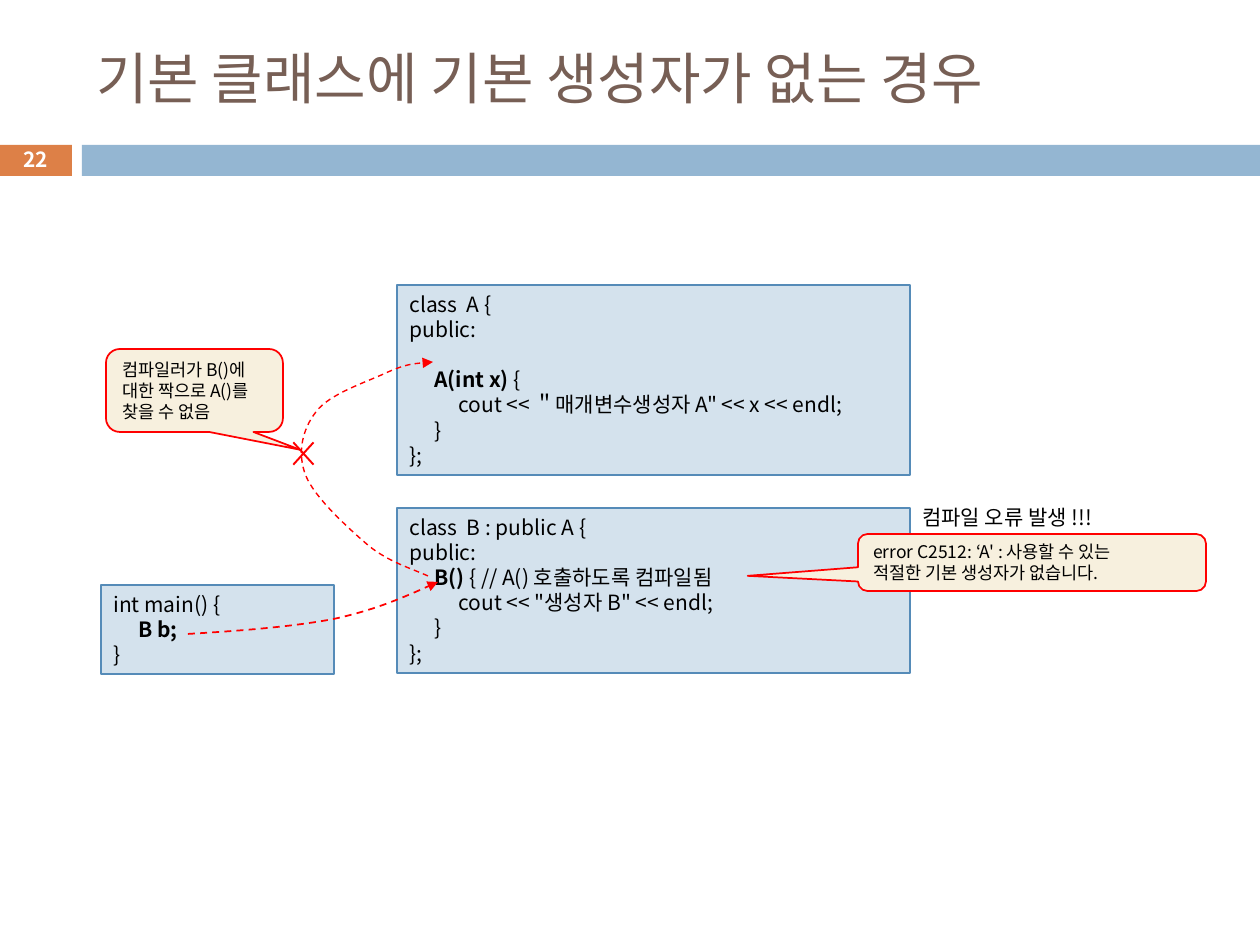
"""Build the slide on a base class that lacks a default constructor."""
from lxml import etree
from pptx import Presentation
from pptx import util as u
from pptx.dml.color import RGBColor
from pptx.enum import dml, shapes, text
from pptx.oxml.ns import qn

PX = 914400 / 126
FONT = "Noto Sans CJK KR"
ORANGE = RGBColor(0xDD, 0x80, 0x47)
BLUE = RGBColor(0x94, 0xB6, 0xD2)
PALE_BLUE = RGBColor(0xD4, 0xE2, 0xED)
EDGE_BLUE = RGBColor(0x55, 0x8B, 0xB8)
CREAM = RGBColor(0xF7, 0xF0, 0xDE)
BROWN = RGBColor(0x77, 0x5F, 0x55)
RED = RGBColor(0xFF, 0x00, 0x00)
WHITE = RGBColor(0xFF, 0xFF, 0xFF)
BLACK = RGBColor(0x00, 0x00, 0x00)

KIND = shapes.MSO_SHAPE
MIDDLE = text.MSO_ANCHOR.MIDDLE
TOP = text.MSO_ANCHOR.TOP
LEFT = text.PP_ALIGN.LEFT
CENTER = text.PP_ALIGN.CENTER
TAB_STOPS = (25, 49)
CODE_PITCH, NOTE_PITCH = 14.4, 12

BARS = [((-1, 145, 73, 31), ORANGE), ((82, 145, 1178, 31), BLUE)]
TITLE = "기본 클래스에 기본 생성자가 없는 경우"
NUMBER = "22"
ERROR_LABEL = "컴파일 오류 발생 !!!"

# Each code line holds (words, bold) spans; GAPS names lines after an open line.
CODE = [
    ((397, 285, 513, 190), [
        [("class  A {", False)],
        [("public:", False)],
        [("\t", False), ("A(int x) ", True), ("{", False)],
        [("\t\tcout << ＂매개변수생성자 A\" << x << endl;", False)],
        [("\t}", False)],
        [("};", False)],
    ], {2}),
    ((397, 508, 513, 165), [
        [("class  B : public A {", False)],
        [("public:", False)],
        [("\t", False), ("B() ", True), ("{ // A() 호출하도록 컴파일됨", False)],
        [("\t\tcout << \"생성자 B\" << endl;", False)],
        [("\t}", False)],
        [("};", False)],
    ], set()),
    ((101, 585, 233, 89), [
        [("int main() {", False)],
        [("\t", False), ("B b;", True)],
        [("}", False)],
    ], set()),
]

FAILED_CALL = [
    (428, 576), (410, 568), (389, 562), (369, 546), (349, 529), (315, 498),
    (306, 476), (297, 454), (302, 430), (316, 412), (329, 394), (367, 382),
    (386, 373), (406, 364), (420, 363), (433, 362),
]
OBJECT_CALL = [
    (188, 634), (239, 631), (292, 627), (334, 619),
    (375, 610), (407, 596), (438, 582),
]
CROSS = (284, 432, 39, 43)
NO_MATCH = ((106, 349, 177, 83), (0.597, 0.714, 0.167),
            ["컴파일러가 B()에 대한 짝으로 A()를 찾을 수 없음"])
ERROR = ((858, 534, 348, 57), (-0.817, 0.234, 0.167),
         ["error C2512: ‘A' : 사용할 수 있는", "적절한 기본 생성자가 없습니다."])


def emu(*lengths):
    return [u.Emu(round(length * PX)) for length in lengths]


def plain(lines):
    return [[(line, False)] for line in lines]


def write(box, lines, size, color=BLACK, anchor=TOP, align=LEFT, pitch=None,
          tabs=(), gaps=(), wrap=True):
    frame = box.text_frame
    frame.word_wrap = wrap
    frame.vertical_anchor = anchor
    for index, spans in enumerate(lines):
        para = frame.add_paragraph() if index else frame.paragraphs[0]
        if tabs:
            stops = etree.SubElement(para._p.get_or_add_pPr(), qn("a:tabLst"))
            for stop in emu(*tabs):
                etree.SubElement(stops, qn("a:tab"), pos=str(stop), algn="l")
        para.alignment = align
        if pitch:
            para.line_spacing = u.Pt(pitch)
        if index in gaps:
            para.space_before = u.Pt(pitch)
        for words, bold in spans:
            span = para.add_run()
            span.text = words
            font = span.font
            font.name, font.size, font.bold = FONT, u.Pt(size), bold
            font.color.rgb = color
            etree.SubElement(font._element, qn("a:ea"), typeface=FONT)


def add_text(page, place, words, size, bold=False, **style):
    box = page.shapes.add_textbox(*emu(*place))
    write(box, [[(words, bold)]], size, **style)


def add_shape(page, kind, place, fill, edge=None, width=1, adjust=()):
    box = page.shapes.add_shape(kind, *emu(*place))
    box.shadow.inherit = False
    box.fill.solid()
    box.fill.fore_color.rgb = fill
    if edge is None:
        box.line.fill.background()
    else:
        box.line.color.rgb = edge
        box.line.width = u.Pt(width)
    for index, value in enumerate(adjust):
        box.adjustments[index] = value
    return box


def add_callout(page, place, adjust, lines):
    box = add_shape(page, KIND.ROUNDED_RECTANGULAR_CALLOUT, place, CREAM, RED,
                    adjust=adjust)
    write(box, plain(lines), 10, anchor=MIDDLE, pitch=NOTE_PITCH)


def add_curve(page, points, width):
    builder = page.shapes.build_freeform(*points[0], scale=PX)
    builder.add_line_segments(points[1:], close=False)
    curve = builder.convert_to_shape()
    curve.shadow.inherit = False
    curve.fill.background()
    curve.line.color.rgb = RED
    curve.line.width = u.Pt(width)
    curve.line.dash_style = dml.MSO_LINE.DASH
    etree.SubElement(curve.line._get_or_add_ln(), qn("a:tailEnd"), type="triangle")
    outline = next(curve._element.iter(qn("a:path")))
    segments = outline.findall(qn("a:lnTo"))
    for start in range(0, len(segments), 3):
        bend = etree.SubElement(outline, qn("a:cubicBezTo"))
        for segment in segments[start:start + 3]:
            bend.append(segment[0])
            outline.remove(segment)


def main():
    deck = Presentation()
    deck.slide_width, deck.slide_height = emu(1260, 945)
    page = deck.slides.add_slide(deck.slide_layouts[6])
    for place, color in BARS:
        add_shape(page, KIND.RECTANGLE, place, color)
    add_text(page, (84, 31, 1124, 93), TITLE, 32, color=BROWN, anchor=MIDDLE)
    add_text(page, (-1, 142, 73, 34), NUMBER, 11.9, bold=True, color=WHITE,
             anchor=MIDDLE, align=CENTER)
    for place, lines, gaps in CODE:
        box = add_shape(page, KIND.RECTANGLE, place, PALE_BLUE, EDGE_BLUE, 0.75)
        write(box, lines, 12, pitch=CODE_PITCH, tabs=TAB_STOPS, gaps=gaps)
    add_curve(page, FAILED_CALL, 0.79)
    add_callout(page, *NO_MATCH)
    add_shape(page, KIND.MATH_MULTIPLY, CROSS, RED, adjust=(0.05,))
    add_callout(page, *ERROR)
    add_text(page, (910, 498, 215, 38), ERROR_LABEL, 12, pitch=CODE_PITCH, wrap=False)
    add_curve(page, OBJECT_CALL, 1)
    deck.save("out.pptx")


if __name__ == "__main__":
    main()
